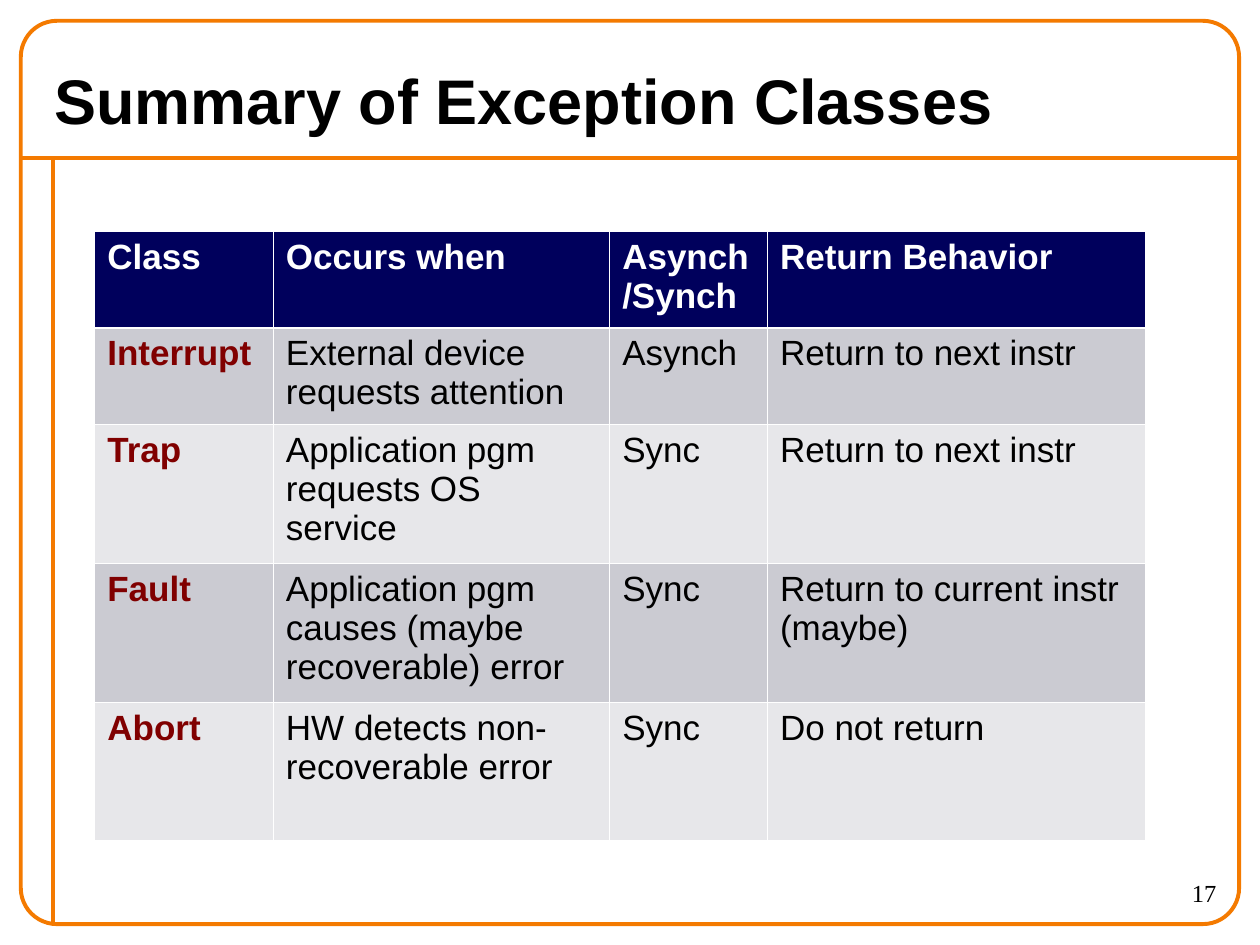
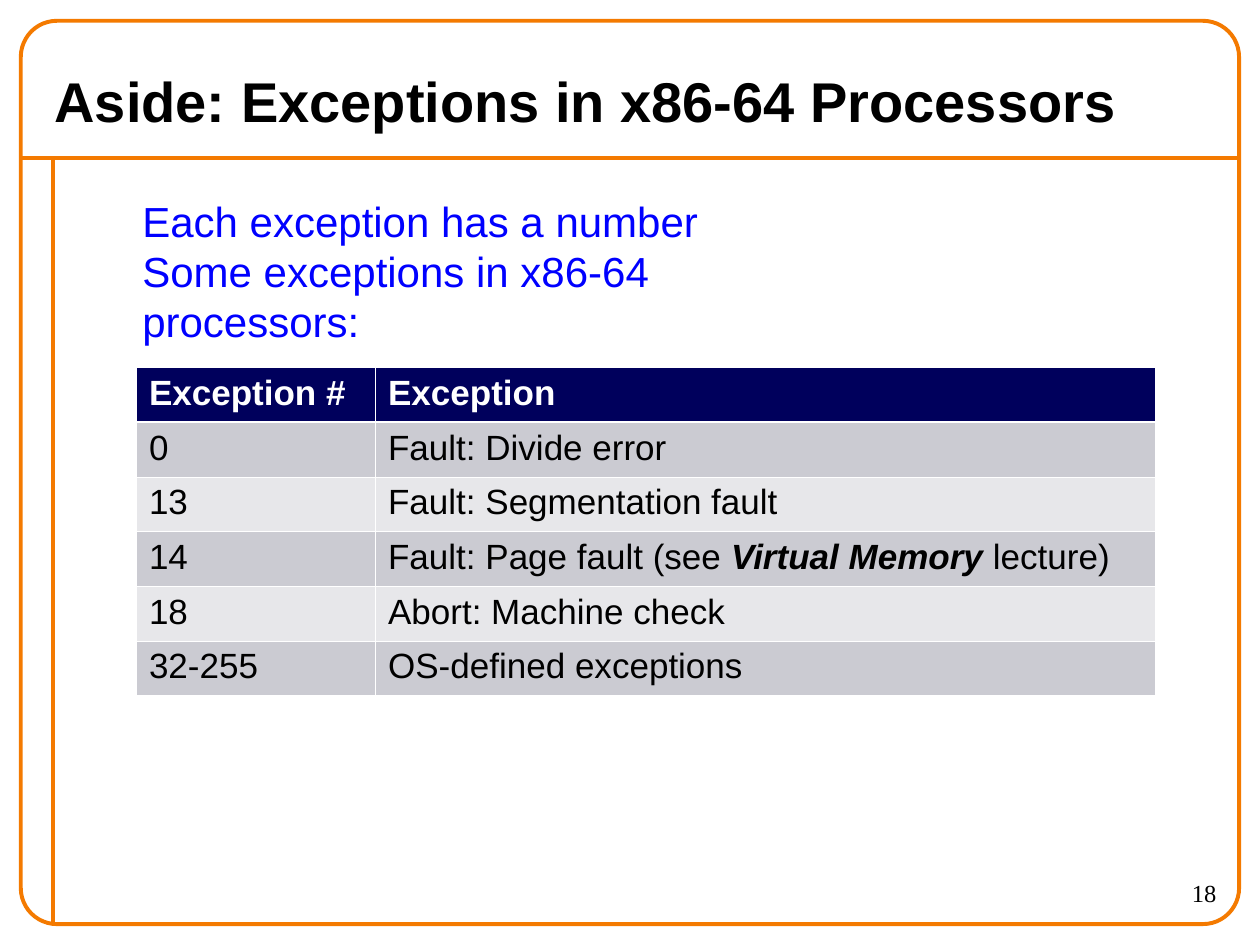
from lxml import etree
from pptx import Presentation
from pptx.dml.color import RGBColor
from pptx.enum.shapes import MSO_CONNECTOR as Connector, MSO_SHAPE as Preset
from pptx.enum.text import MSO_ANCHOR as Anchor, PP_ALIGN as Align
from pptx.oxml.ns import qn
from pptx.util import Cm, Pt

COLOURS = {
    "frame": "F47A00",
    "text": "000000",
    "header": "00005C",
    "band_dark": "CBCBD2",
    "band_light": "E7E7EA",
    "class_name": "800000",
    "statement": "0000FF",
    "white": "FFFFFF",
}
BODY_FONT, NUMBER_FONT = "Arial", "Times New Roman"
FRAME_LEFT, FRAME_TOP, FRAME_WIDTH, FRAME_HEIGHT = 0.42, 0.42, 24.56, 18.21
TITLE_RULE_Y, SIDE_RULE_X = 3.18, 1.06

CLASS_ROWS = [
    ["Class", "Occurs when", "Asynch/Synch", "Return Behavior"],
    ["Interrupt", "External device requests attention", "Asynch", "Return to next instr"],
    ["Trap", "Application pgm requests OS service", "Sync", "Return to next instr"],
    ["Fault", "Application pgm causes (maybe recoverable) error", "Sync",
     "Return to current instr (maybe)"],
    ["Abort", "HW detects non-recoverable error", "Sync", "Do not return"],
]
NUMBER_ROWS = [
    ["Exception #", "Exception"],
    ["0", "Fault: Divide error"],
    ["13", "Fault: Segmentation fault"],
    ["14", "Fault: Page fault (see *Virtual Memory *lecture)"],
    ["18", "Abort: Machine check"],
    ["32-255", "OS-defined exceptions"],
]


def colour(name):
    """Return the named colour."""
    return RGBColor.from_string(COLOURS[name])


def write(para, text, size, ink="text", bold=False, font=BODY_FONT):
    """Fill a paragraph, setting parts between asterisks in bold italics."""
    para.font.name = font
    para.font.size = Pt(size)
    para.font.color.rgb = colour(ink)
    para.font.bold = bold
    for index, part in enumerate(text.split("*")):
        span = para.add_run()
        span.text = part
        if index % 2:
            span.font.bold = span.font.italic = True


def add_text(page, place, lines, size, wrap=True, anchor=Anchor.TOP, align=Align.LEFT, **style):
    """Add a text box with one paragraph for each line."""
    frame = page.shapes.add_textbox(*map(Cm, place)).text_frame
    frame.word_wrap = wrap
    frame.vertical_anchor = anchor
    for index, line in enumerate(lines):
        para = frame.add_paragraph() if index else frame.paragraphs[0]
        para.alignment = align
        write(para, line, size, **style)


def style_outline(shape):
    """Give a shape or rule the frame line."""
    shape.line.color.rgb = colour("frame")
    shape.line.width = Pt(2.25)


def add_rule(page, *ends):
    """Add a straight rule between two points."""
    rule = page.shapes.add_connector(Connector.STRAIGHT, *map(Cm, ends))
    style_outline(rule)
    etree.SubElement(rule._element.spPr, qn("a:effectLst"))


def add_frame(page):
    """Add the rounded border and its two rules."""
    right, bottom = FRAME_LEFT + FRAME_WIDTH, FRAME_TOP + FRAME_HEIGHT
    add_rule(page, FRAME_LEFT, TITLE_RULE_Y, right, TITLE_RULE_Y)
    add_rule(page, SIDE_RULE_X, TITLE_RULE_Y, SIDE_RULE_X, bottom)
    place = map(Cm, (FRAME_LEFT, FRAME_TOP, FRAME_WIDTH, FRAME_HEIGHT))
    border = page.shapes.add_shape(Preset.ROUNDED_RECTANGLE, *place)
    border.adjustments[0] = 0.04
    border.shadow.inherit = False
    border.fill.background()
    style_outline(border)


def add_page(deck, title, title_size, number):
    """Add a framed page with its title and page number."""
    page = deck.slides.add_slide(deck.slide_layouts[6])
    add_frame(page)
    add_text(page, (0.85, 1.06, 23.7, 1.9), [title], title_size, anchor=Anchor.MIDDLE, bold=True)
    add_text(page, (22.23, 17.57, 2.54, 1.06), [str(number)], 14, align=Align.RIGHT,
             font=NUMBER_FONT)
    return page


def set_borders(cell, top, bottom):
    """Draw white cell borders with the given top and bottom widths."""
    properties = cell._tc.get_or_add_tcPr()
    for side, width in (("L", 0.45), ("R", 0.45), ("T", top), ("B", bottom)):
        line = etree.SubElement(properties, qn(f"a:ln{side}"), w=str(Pt(width)))
        fill = etree.SubElement(line, qn("a:solidFill"))
        etree.SubElement(fill, qn("a:srgbClr"), val=COLOURS["white"])


def add_banded_table(page, left, top, widths, heights, rows, named_rows=False):
    """Add a table with a dark header and alternating bands."""
    place = map(Cm, (left, top, sum(widths), sum(heights)))
    table = page.shapes.add_table(len(rows), len(widths), *place).table
    table.first_row = table.horz_banding = False
    for column, width in zip(table.columns, widths):
        column.width = Cm(width)
    for y, (row, height) in enumerate(zip(rows, heights)):
        table.rows[y].height = Cm(height)
        band = "band_dark" if y % 2 else "band_light"
        for x, text in enumerate(row):
            cell = table.cell(y, x)
            set_borders(cell, 1.47 if y == 1 else 0.45, 1.47 if y == 0 else 0.45)
            cell.fill.solid()
            cell.fill.fore_color.rgb = colour(band if y else "header")
            named = named_rows and x == 0
            ink = "white" if y == 0 else "class_name" if named else "text"
            write(cell.text_frame.paragraphs[0], text, 20, ink, bold=y == 0 or named)


def main():
    """Build the two pages and save the deck."""
    deck = Presentation()
    deck.slide_width, deck.slide_height = Cm(25.4), Cm(19.05)

    page = add_page(deck, "Summary of Exception Classes", 36, 17)
    add_banded_table(page, 1.91, 4.66, [3.6, 6.78, 3.18, 7.62], [1.95, 1.95, 2.8, 2.8, 2.78],
                     CLASS_ROWS, named_rows=True)

    page = add_page(deck, "Aside: Exceptions in x86-64 Processors", 32, 18)
    statements = ["Each exception has a number", "Some exceptions in x86-64 processors:"]
    add_text(page, (2.62, 3.81, 15.32, 2.29), statements, 24, wrap=False, ink="statement")
    add_banded_table(page, 2.75, 7.41, [4.82, 15.72], [1.1] * len(NUMBER_ROWS), NUMBER_ROWS)

    deck.save("out.pptx")


if __name__ == "__main__":
    main()
